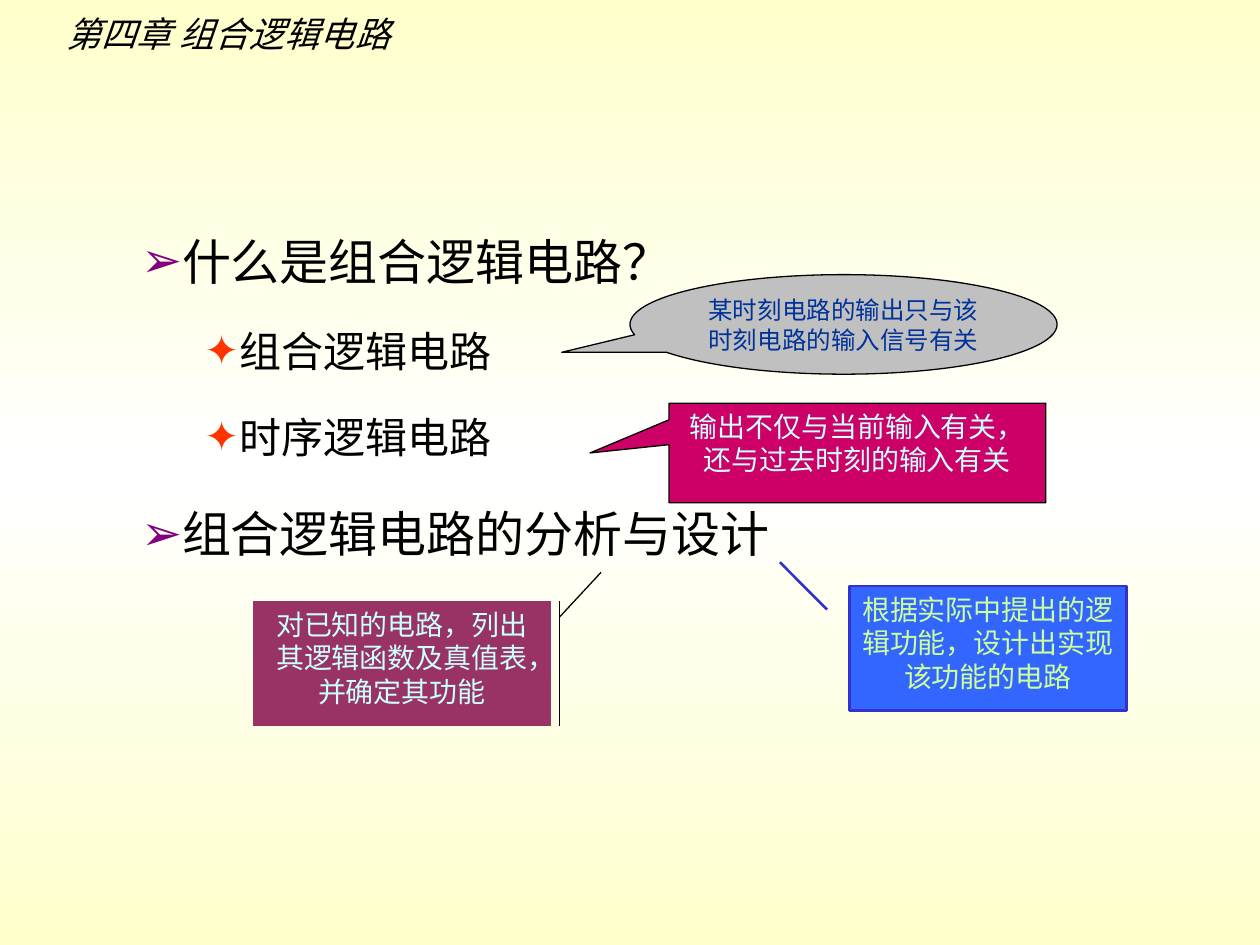
from copy import deepcopy

from lxml import etree
from pptx import Presentation
from pptx.dml.color import RGBColor
from pptx.enum.shapes import MSO_SHAPE
from pptx.enum.text import MSO_ANCHOR, MSO_AUTO_SIZE, PP_ALIGN
from pptx.oxml.ns import qn
from pptx.util import Inches, Pt

TOP = MSO_ANCHOR.TOP
LEFT, CENTER = PP_ALIGN.LEFT, PP_ALIGN.CENTER
FIT_SHAPE, NO_FIT = MSO_AUTO_SIZE.SHAPE_TO_FIT_TEXT, MSO_AUTO_SIZE.NONE
ELLIPSE = MSO_SHAPE.OVAL_CALLOUT
RECT = MSO_SHAPE.RECTANGULAR_CALLOUT
BORDER = MSO_SHAPE.LINE_CALLOUT_1
ACCENT = MSO_SHAPE.LINE_CALLOUT_1_ACCENT_BAR

THEME = {
    "latin": "Times New Roman", "cjk": "Noto Sans CJK SC",
    "text": "000000", "edge": "FFFFCC", "middle": "FFFFFF",
    "title_size": 20, "note_size": 16, "small_note_size": 14,
    # list level: size, space before, bullet, bullet colour
    "levels": {1: (28, 7, "➢", "800080"), 2: (24, 6, "✦", "FF3300")},
}


def style_run(r, size, color, font=THEME["latin"]):
    r.font.size = Pt(size)
    r.font.name = font
    r.font.color.rgb = RGBColor.from_string(color)
    ea = etree.SubElement(r.font._element, qn("a:ea"))
    ea.set("typeface", THEME["cjk"])


def add_bullet(p, char, color):
    pPr = p._p.get_or_add_pPr()
    clr = etree.SubElement(pPr, qn("a:buClr"))
    etree.SubElement(clr, qn("a:srgbClr")).set("val", color)
    etree.SubElement(pPr, qn("a:buChar")).set("char", char)
    # The bullet hangs left of the text
    pPr.set("marL", str(Inches(0.5 * p.level)))
    pPr.set("indent", str(Inches(-0.23)))


prs = Presentation()
prs.slide_width, prs.slide_height = Inches(10), Inches(7.5)
s = prs.slides.add_slide(prs.slide_layouts[1])

# Background: vertical gradient, light in the middle
fill = s.background.fill
fill.gradient()
fill.gradient_angle = 90
stops = s._element.find(".//" + qn("a:gsLst"))
stops.append(deepcopy(stops[-1]))
colors = (THEME["edge"], THEME["middle"], THEME["edge"])
for stop, position, color in zip(fill.gradient_stops, (0, 0.5, 1), colors):
    stop.position = position
    stop.color.rgb = RGBColor.from_string(color)

# Chapter title
title = s.shapes.title
title.left, title.top, title.width, title.height = map(Inches, (0.43, 0.05, 2.83, 0.44))
tf = title.text_frame
tf.text = "第四章 组合逻辑电路"
tf.word_wrap = False
tf.auto_size = FIT_SHAPE
tf.vertical_anchor = TOP
p = tf.paragraphs[0]
p.alignment = LEFT
style_run(p.runs[0], THEME["title_size"], THEME["text"], THEME["cjk"])
p.runs[0].font.italic = True

# Outline
body = s.placeholders[1]
body.left, body.top, body.width, body.height = map(Inches, (0.75, 1.55, 8.5, 5.12))
outline = [
    (1, "什么是组合逻辑电路？"),
    (2, "组合逻辑电路"),
    (2, "时序逻辑电路"),
    (1, "组合逻辑电路的分析与设计"),
]
tf = body.text_frame
tf.text = "\n".join(text for _, text in outline)
tf.auto_size = NO_FIT
tf.vertical_anchor = TOP
for i, (p, (level, _)) in enumerate(zip(tf.paragraphs, outline)):
    size, before, char, color = THEME["levels"][level]
    p.level = level
    add_bullet(p, char, color)
    p.line_spacing = 1.5
    p.space_before = Pt(before if i else 0)
    style_run(p.runs[0], size, THEME["text"])

# Callouts: shape, box, adjustments, fill, line, line width, text, size, text colour
small, note = THEME["small_note_size"], THEME["note_size"]
callouts = [
    (ELLIPSE, (5, 2.18, 3.39, 0.79), (-0.66, 0.28), "C0C0C0", "000000", 0.75,
     "某时刻电路的输出只与该时刻电路的输入信号有关", small, "003399"),
    (RECT, (5.31, 3.2, 2.99, 0.79), (-0.71, 0), "CC0066", "000000", 0.75,
     "输出不仅与当前输入有关，还与过去时刻的输入有关", note, "CCFFFF"),
    (BORDER, (6.74, 4.65, 2.2, 0.99), (0.19, -0.08, -0.19, -0.25), "3366FF", "3333CC", 1.5,
     "根据实际中提出的逻辑功能，设计出实现该功能的电路", note, "CCFF99"),
    (ACCENT, (2.01, 4.77, 2.36, 0.99), (0.13, 1.03, -0.23, 1.17), "993366", "000000", 0.75,
     "对已知的电路，列出其逻辑函数及真值表，并确定其功能", note, "CCFFFF"),
]
for kind, box, adjustments, fill_color, line_color, width, text, size, color in callouts:
    callout = s.shapes.add_shape(kind, *map(Inches, box))
    for i, value in enumerate(adjustments):
        callout.adjustments[i] = value
    callout.shadow.inherit = False
    callout.fill.solid()
    callout.fill.fore_color.rgb = RGBColor.from_string(fill_color)
    callout.line.color.rgb = RGBColor.from_string(line_color)
    callout.line.width = Pt(width)
    tf = callout.text_frame
    tf.text = text
    tf.word_wrap = True
    tf.vertical_anchor = TOP
    p = tf.paragraphs[0]
    p.alignment = CENTER
    style_run(p.runs[0], size, color)

prs.save("out.pptx")
